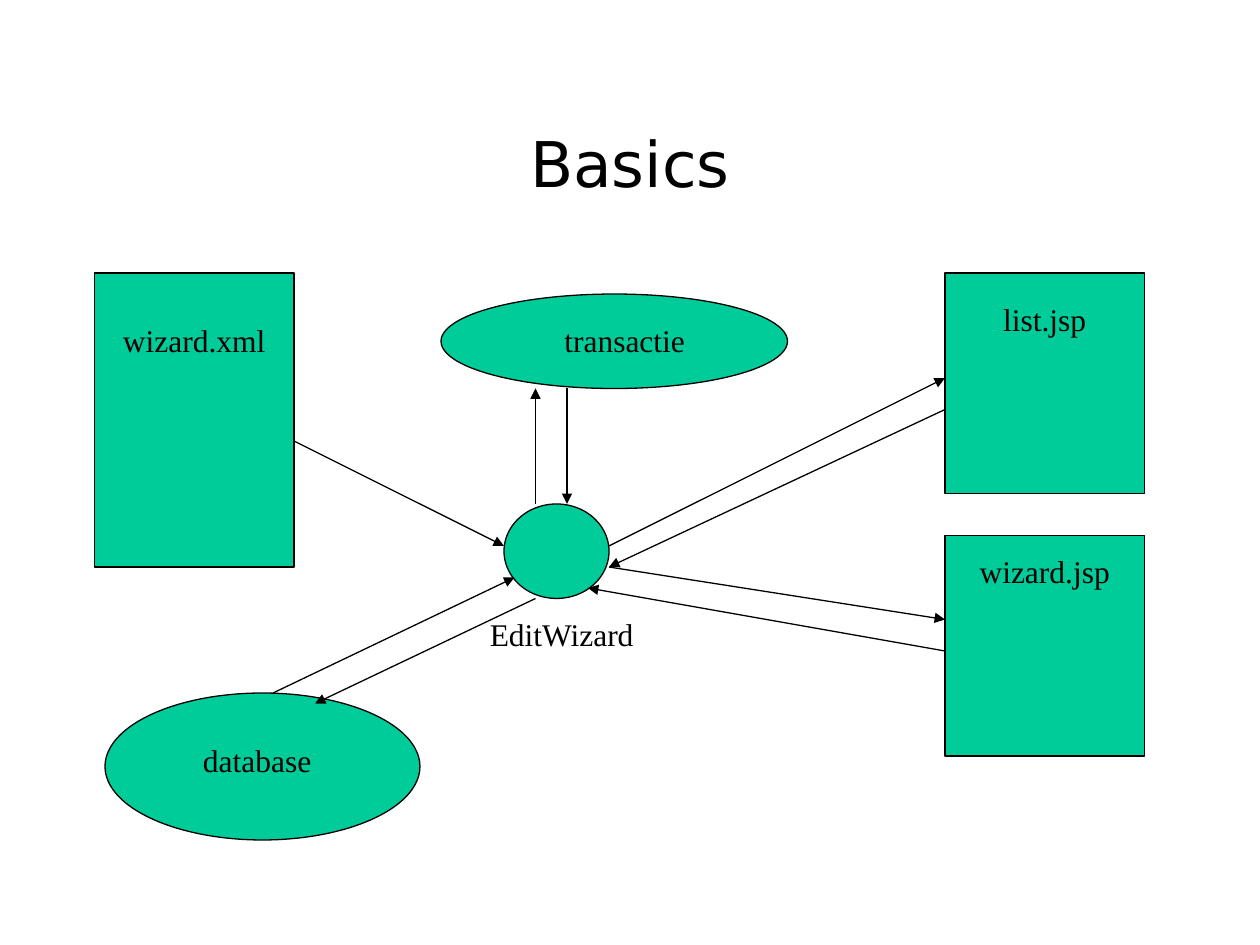
from collections import namedtuple

from lxml.etree import SubElement
from pptx import Presentation
from pptx.dml.color import RGBColor
from pptx.enum.shapes import MSO_CONNECTOR as Link, MSO_SHAPE as Preset
from pptx.enum.text import MSO_ANCHOR as Anchor, MSO_AUTO_SIZE as AutoSize, PP_ALIGN as Align
from pptx.oxml.ns import qn
from pptx.util import Inches, Pt

COLORS = {"fill": "00CC99", "ink": "000000"}
BODY_FONT, TITLE_FONT = "Times New Roman", "DejaVu Sans"
COLUMNS, ROWS = 120, 90
CELL = Inches(10) // COLUMNS
TITLE_BOX = (9, 8, 102, 15)
LABEL_SIZE = (17, 4.8)

Node = namedtuple("Node", "outline box label label_offset")

NODES = {
    "definition": Node(Preset.RECTANGLE, (9, 26, 19, 28), "wizard.xml", (1, 4)),
    "storage": Node(Preset.OVAL, (10, 66, 30, 14), "database", (6, 4)),
    "editor": Node(Preset.OVAL, (48, 48, 10, 9), "EditWizard", (-3, 10)),
    "list": Node(Preset.RECTANGLE, (90, 26, 19, 21), "list.jsp", (1, 2)),
    "form": Node(Preset.RECTANGLE, (90, 51, 19, 21), "wizard.jsp", (1, 1)),
    "transaction": Node(Preset.OVAL, (42, 28, 33, 9), "transactie", (9, 2)),
}

# Each end: node, then column and row inside that node's box
FLOWS = [
    (("editor", 3, 0), ("transaction", 9, 9)),
    (("transaction", 12, 9), ("editor", 6, 0)),
    (("editor", 10, 4), ("list", 0, 10)),
    (("editor", 10, 6), ("form", 0, 8)),
    (("form", 0, 11), ("editor", 8, 8)),
    (("list", 0, 13), ("editor", 10, 6)),
    (("definition", 19, 16), ("editor", 0, 4)),
    (("storage", 16, 0), ("editor", 1, 7)),
    (("editor", 3, 9), ("storage", 20, 1)),
]


def on_grid(*cells):
    return [round(cell * CELL) for cell in cells]


def color(name):
    return RGBColor.from_string(COLORS[name])


def outline(line):
    line.color.rgb = color("ink")
    line.width = Pt(0.75)


def write(frame, text, font=BODY_FONT, size=18, anchor=Anchor.TOP, before=0,
          fit=AutoSize.NONE):
    frame.word_wrap = True
    frame.auto_size = fit
    frame.vertical_anchor = anchor
    paragraph = frame.paragraphs[0]
    paragraph.alignment = Align.CENTER
    paragraph.space_before = Pt(before)
    run = paragraph.add_run()
    run.text = text
    run.font.name = font
    run.font.size = Pt(size)
    run.font.color.rgb = color("ink")


def add_title(slide, box, text):
    title = slide.shapes.title
    title.left, title.top, title.width, title.height = on_grid(*box)
    write(title.text_frame, text, font=TITLE_FONT, size=36, anchor=Anchor.MIDDLE)


def add_node(slide, node):
    body = slide.shapes.add_shape(node.outline, *on_grid(*node.box))
    body.shadow.inherit = False
    body.fill.solid()
    body.fill.fore_color.rgb = color("fill")
    outline(body.line)

    column, row = node.box[:2]
    right, down = node.label_offset
    label = slide.shapes.add_textbox(*on_grid(column + right, row + down, *LABEL_SIZE))
    write(label.text_frame, node.label, before=11.2, fit=AutoSize.SHAPE_TO_FIT_TEXT)


def locate(end):
    name, right, down = end
    column, row = NODES[name].box[:2]
    return on_grid(column + right, row + down)


def add_flow(slide, start, end):
    arrow = slide.shapes.add_connector(Link.STRAIGHT, *locate(start), *locate(end))
    outline(arrow.line)
    SubElement(arrow.line._get_or_add_ln(), qn("a:tailEnd"), type="triangle")
    SubElement(arrow._element.spPr, qn("a:effectLst"))


def main():
    deck = Presentation()
    deck.slide_width, deck.slide_height = on_grid(COLUMNS, ROWS)
    slide = deck.slides.add_slide(deck.slide_layouts[5])
    add_title(slide, TITLE_BOX, "Basics")
    for node in NODES.values():
        add_node(slide, node)
    for start, end in FLOWS:
        add_flow(slide, start, end)
    deck.save("out.pptx")


if __name__ == "__main__":
    main()
